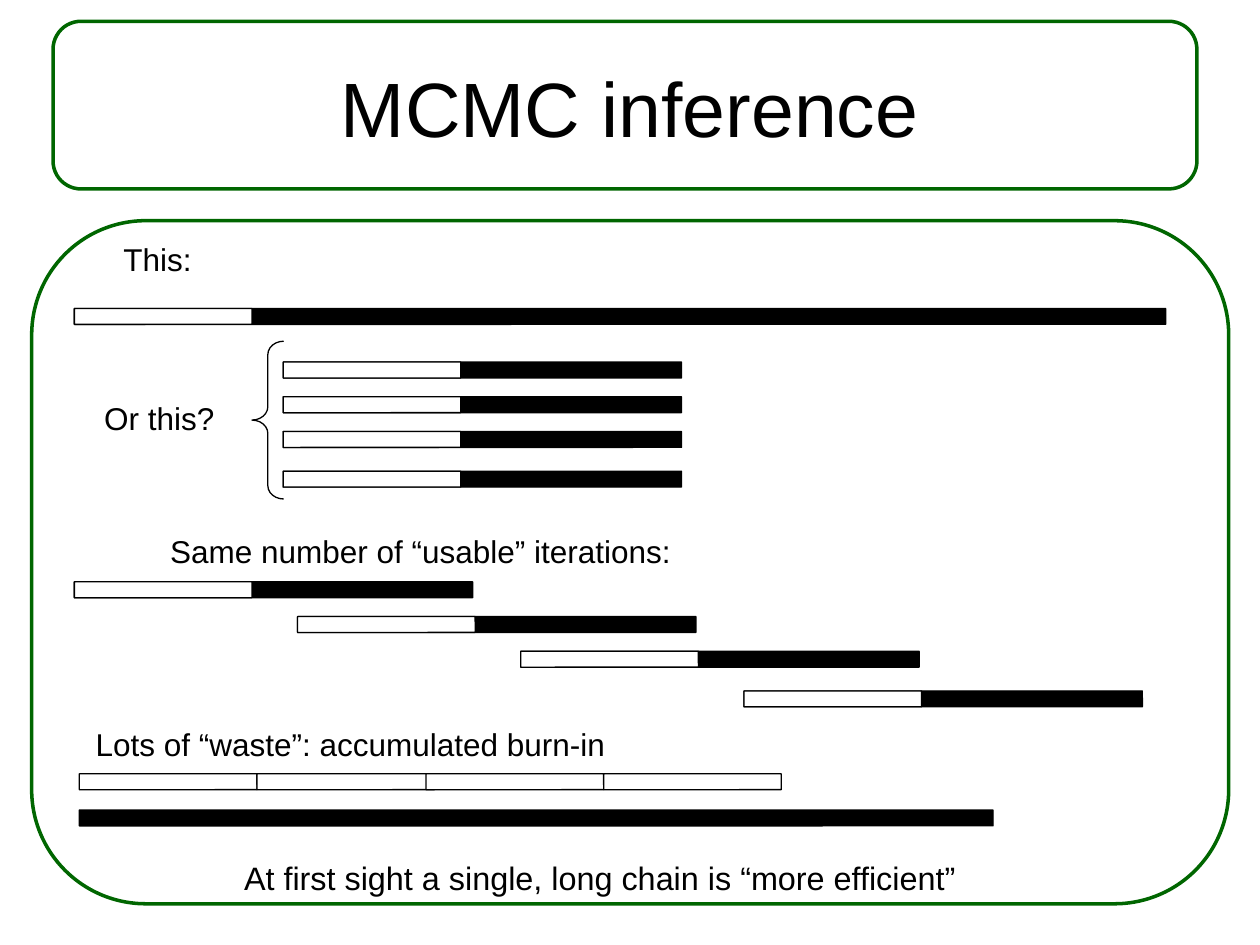
from dataclasses import dataclass
from pptx import Presentation
from pptx.dml.color import RGBColor
from pptx.enum.shapes import MSO_SHAPE
from pptx.enum.text import MSO_ANCHOR, PP_ALIGN
from pptx.util import Cm, Pt


@dataclass(frozen=True)
class Theme:
    font: str = "Arial"
    ink: RGBColor = RGBColor(0x00, 0x00, 0x00)
    paper: RGBColor = RGBColor(0xFF, 0xFF, 0xFF)
    frame: RGBColor = RGBColor(0x00, 0x66, 0x00)
    title_size: float = 44
    label_size: float = 18
    conclusion_size: float = 18.5
    frame_width: float = 2
    bar_line: float = 0.75


THEME = Theme()

# Content: all lengths in centimetres, boxes as left, top, width, height
FRAMES = [(0.64, 4.45, 24.13, 13.77), (1.07, 0.43, 23.06, 3.38)]
TITLE = ("MCMC inference", (1.27, 0.43, 22.86, 3.43))
LABELS = [
    ("This:", (2.24, 4.72, 2.1, 1.02)),
    ("Or this?", (1.85, 7.92, 3.0, 1.02)),
    ("Same number of “usable” iterations:", (3.18, 10.6, 10.9, 1.02)),
    ("Lots of “waste”: accumulated burn-in", (1.68, 14.5, 11.0, 1.02)),
]
CONCLUSION = ("At first sight a single, long chain is “more efficient”",
              (4.67, 17.17, 16.05, 1.09))
BRACE = (5.08, 6.88, 0.64, 3.18)

BAR_HEIGHT = 0.32
BURN_IN = 3.58
LONG_CHAIN = 22.0
SHORT_CHAIN = 8.03
LONG_AT = (1.5, 6.22)
ROW_OFFSETS = [0, 0.7, 1.4, 2.2]
# left, top and sideways step of each group of short chains
SHORT_GROUPS = [(5.71, 7.3, 0), (1.5, 11.73, 4.5)]
WASTE_LEFTS = [1.6, 5.18, 8.59, 12.17]
WASTE_TOP = 15.6
USABLE_AT = (1.6, 16.33)


def add_outline(slide, kind, box, line, width, fill=None, adjustments=()):
    outline = slide.shapes.add_shape(kind, *map(Cm, box))
    outline.shadow.inherit = False
    for index, value in enumerate(adjustments):
        outline.adjustments[index] = value
    if fill is None:
        outline.fill.background()
    else:
        outline.fill.solid()
        outline.fill.fore_color.rgb = fill
    outline.line.color.rgb = line
    outline.line.width = Pt(width)


def add_bar(slide, left, top, length, fill):
    add_outline(slide, MSO_SHAPE.ROUNDED_RECTANGLE, (left, top, length, BAR_HEIGHT),
                THEME.ink, THEME.bar_line, fill, [0.014])


def add_chain(slide, left, top, length):
    add_bar(slide, left, top, length, THEME.ink)
    add_bar(slide, left, top, BURN_IN, THEME.paper)


def add_text(slide, text, box, size, align=PP_ALIGN.LEFT, anchor=MSO_ANCHOR.TOP):
    frame = slide.shapes.add_textbox(*map(Cm, box)).text_frame
    frame.word_wrap = True
    frame.vertical_anchor = anchor
    paragraph = frame.paragraphs[0]
    paragraph.alignment = align
    run = paragraph.add_run()
    run.text = text
    run.font.name = THEME.font
    run.font.size = Pt(size)
    run.font.color.rgb = THEME.ink


def main():
    deck = Presentation()
    deck.slide_width, deck.slide_height = Cm(25.4), Cm(19.05)
    slide = deck.slides.add_slide(deck.slide_layouts[6])

    # Frames and title
    for box in FRAMES:
        add_outline(slide, MSO_SHAPE.ROUNDED_RECTANGLE, box,
                    THEME.frame, THEME.frame_width, adjustments=[0.167])
    add_text(slide, *TITLE, THEME.title_size, PP_ALIGN.CENTER, MSO_ANCHOR.MIDDLE)

    # One long chain, then the short chains stacked and staggered
    add_chain(slide, *LONG_AT, LONG_CHAIN)
    for left, top, step in SHORT_GROUPS:
        for row, offset in enumerate(ROW_OFFSETS):
            add_chain(slide, left + row * step, top + offset, SHORT_CHAIN)

    # Accumulated burn-in against the usable part of the long chain
    for left in WASTE_LEFTS:
        add_bar(slide, left, WASTE_TOP, BURN_IN, THEME.paper)
    add_bar(slide, *USABLE_AT, LONG_CHAIN - BURN_IN, THEME.ink)

    # Brace and wording
    add_outline(slide, MSO_SHAPE.LEFT_BRACE, BRACE, THEME.ink, THEME.bar_line,
                adjustments=[0.42, 0.5])
    for text, box in LABELS:
        add_text(slide, text, box, THEME.label_size)
    add_text(slide, *CONCLUSION, THEME.conclusion_size)

    deck.save("out.pptx")


if __name__ == "__main__":
    main()
